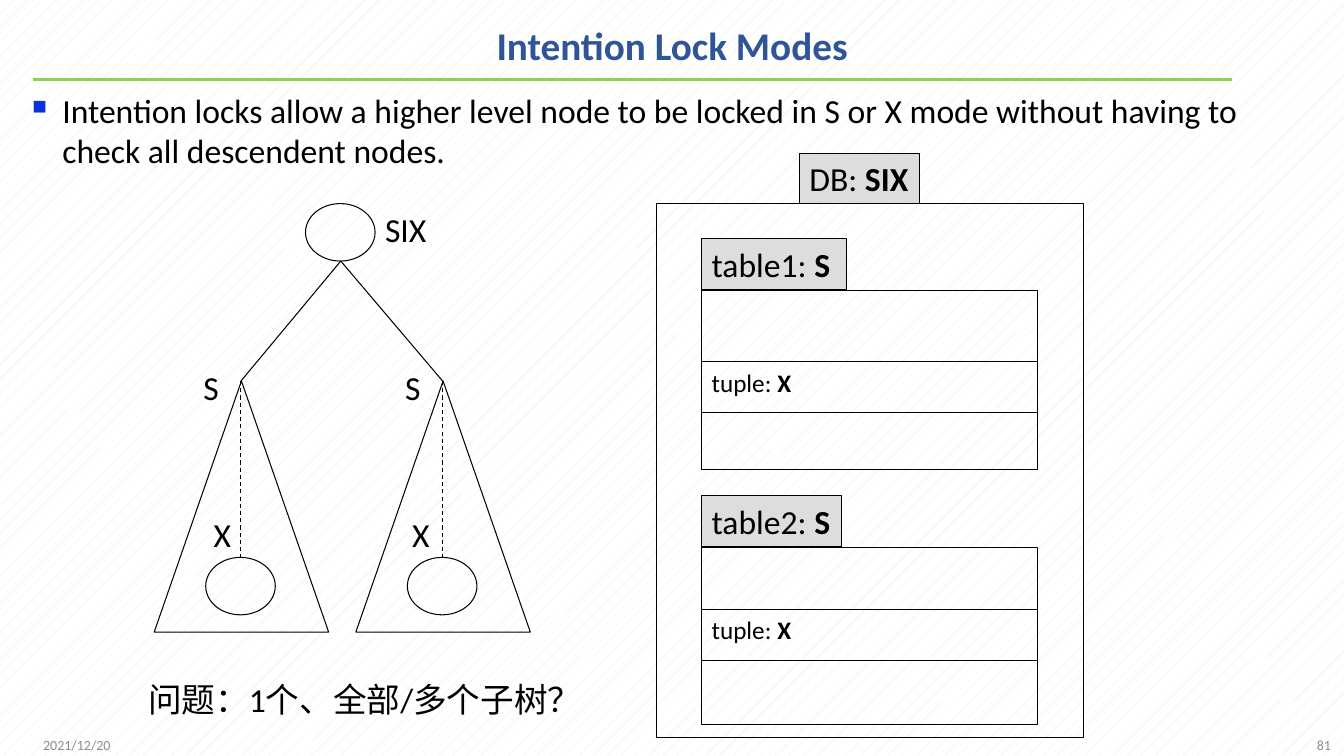
from lxml.etree import SubElement
from pptx import Presentation
from pptx.dml.color import RGBColor
from pptx.enum.dml import MSO_LINE, MSO_PATTERN
from pptx.enum.shapes import MSO_CONNECTOR, MSO_SHAPE
from pptx.enum.text import MSO_ANCHOR, MSO_AUTO_SIZE, PP_ALIGN
from pptx.oxml.ns import qn
from pptx.util import Inches, Pt

BLACK = RGBColor(0x00, 0x00, 0x00)
WHITE = RGBColor(0xFF, 0xFF, 0xFF)
MINT = RGBColor(0xDC, 0xEC, 0xE0)
GREEN = RGBColor(0x92, 0xD0, 0x50)
BLUE = RGBColor(0x0B, 0x32, 0xD9)
NAVY = RGBColor(0x2F, 0x55, 0x97)
SILVER = RGBColor(0xDD, 0xDD, 0xDD)
GRAY = RGBColor(0x8C, 0x8C, 0x8C)


class Board:
    font = "Calibri"

    def __init__(self, slide):
        self.slide = slide
        self.shapes = slide.shapes

    def back(self):
        fill = self.slide.background.fill
        fill.patterned()
        fill.pattern = MSO_PATTERN.PERCENT_5
        fill.fore_color.rgb = MINT
        fill.back_color.rgb = WHITE

    def label(self, shape, text, size=24, color=BLACK, bold=None,
              align=PP_ALIGN.LEFT, anchor=MSO_ANCHOR.TOP, wrap=False, mode=""):
        """Fill a shape with one paragraph; mode is a bold ending."""
        frame = shape.text_frame
        frame.word_wrap = wrap
        frame.auto_size = MSO_AUTO_SIZE.NONE
        frame.vertical_anchor = anchor
        para = frame.paragraphs[0]
        para.add_run().text = text
        if mode:
            end = para.add_run()
            end.text = mode
            end.font.bold = True
        para.alignment = align
        para.font.name = self.font
        para.font.size = Pt(size)
        para.font.color.rgb = color
        para.font.bold = bold
        return para

    def title(self, text, x, y, w, h):
        head = self.shapes.title
        head.left, head.top = Inches(x), Inches(y)
        head.width, head.height = Inches(w), Inches(h)
        para = self.label(head, text, 28, NAVY, True, PP_ALIGN.CENTER,
                          MSO_ANCHOR.MIDDLE, True)
        para.line_spacing = 0.9

    def text(self, text, x, y, w, h=0.5, **style):
        box = self.shapes.add_textbox(Inches(x), Inches(y), Inches(w), Inches(h))
        return self.label(box, text, **style)

    def bullet(self, text, x, y, w, h):
        para = self.text(text, x, y, w, h, wrap=True)
        props = para._p.get_or_add_pPr()
        props.set("marL", str(Inches(0.3)))
        props.set("indent", str(Inches(-0.3)))
        # Bullet elements must come ahead of the default run properties.
        last = props.find(qn("a:defRPr"))
        color = SubElement(props, qn("a:buClr"))
        SubElement(color, qn("a:srgbClr"), val=str(BLUE))
        size = SubElement(props, qn("a:buSzPct"), val="60000")
        mark = SubElement(props, qn("a:buChar"), char="■")
        for item in (color, size, mark):
            last.addprevious(item)

    def line(self, x1, y1, x2, y2, color=BLACK, width=0.75, dash=None):
        line = self.shapes.add_connector(
            MSO_CONNECTOR.STRAIGHT, Inches(x1), Inches(y1), Inches(x2), Inches(y2))
        line.line.color.rgb = color
        line.line.width = Pt(width)
        if dash:
            line.line.dash_style = dash
        SubElement(line._element.spPr, qn("a:effectLst"))

    def shape(self, kind, x, y, w, h, fill=None):
        shape = self.shapes.add_shape(kind, Inches(x), Inches(y), Inches(w), Inches(h))
        shape.shadow.inherit = False
        shape.line.color.rgb = BLACK
        shape.line.width = Pt(0.75)
        if fill is None:
            shape.fill.background()
        else:
            shape.fill.solid()
            shape.fill.fore_color.rgb = fill
        return shape

    def rect(self, x, y, w, h, fill=None):
        return self.shape(MSO_SHAPE.RECTANGLE, x, y, w, h, fill)

    def node(self, x, y):
        """Draw a tree node whose top centre is at x, y."""
        self.shape(MSO_SHAPE.OVAL, x - 0.35, y, 0.69, 0.57)

    def tree(self, x, y, mark):
        """Draw a locked subtree with its apex at x, y; mark places the X."""
        self.shape(MSO_SHAPE.ISOSCELES_TRIANGLE, x - 0.86, y, 1.73, 2.49)
        self.line(x, y, x, y + 1.75, dash=MSO_LINE.DASH)
        self.node(x, y + 1.75)
        self.text("S", x - 0.47, y - 0.19, 0.36)
        self.text("X", mark, y + 1.27, 0.38)

    def tab(self, name, mode, x, y, w):
        self.label(self.rect(x, y, w, 0.5, SILVER), name, mode=mode)

    def table(self, name, y, h, wide, row):
        """Draw a locked table; wide is the tab width, row the tuple top."""
        x, w = 6.96, 3.33
        self.rect(x, y, w, h)
        self.tab(name, "S", x, y - 0.51, wide)
        self.label(self.rect(x, row, w, 0.5), "tuple: ", 18, wrap=True, mode="X")


def main():
    deck = Presentation()
    deck.slide_width, deck.slide_height = Inches(13.33), Inches(7.5)
    board = Board(deck.slides.add_slide(deck.slide_layouts[5]))
    board.back()
    board.line(0.33, 0.79, 12.22, 0.79, GREEN, 2.25)
    board.title("Intention Lock Modes", 0.34, 0.09, 12.65, 0.77)
    board.bullet("Intention locks allow a higher level node to be locked in S or X "
                 "mode without having to check all descendent nodes.",
                 0.22, 0.84, 12.94, 0.95)
    foot = dict(size=10, color=GRAY, anchor=MSO_ANCHOR.MIDDLE, wrap=True)
    board.text("2021/12/20", 0.33, 7.19, 3, 0.4, **foot)
    board.text("81", 10.3, 7.19, 3, 0.4, align=PP_ALIGN.RIGHT, **foot)

    root = 3.38
    board.node(root, 2.02)
    board.text("SIX", 3.72, 2.02, 0.62)
    for apex, mark in ((2.39, 2.02), (4.39, 3.99)):
        board.line(root, 2.59, apex, 3.78)
        board.tree(apex, 3.78, mark)
    board.text("问题：1个、全部/多个子树？", 1.37, 6.69, 4.5)

    board.rect(6.51, 2.02, 4.24, 5.3)
    board.tab("DB: ", "SIX", 7.93, 1.52, 1.19)
    board.table("table1: ", 2.88, 1.78, 1.44, 3.59)
    board.table("table2: ", 5.43, 1.76, 1.39, 6.05)
    deck.save("out.pptx")


if __name__ == "__main__":
    main()
